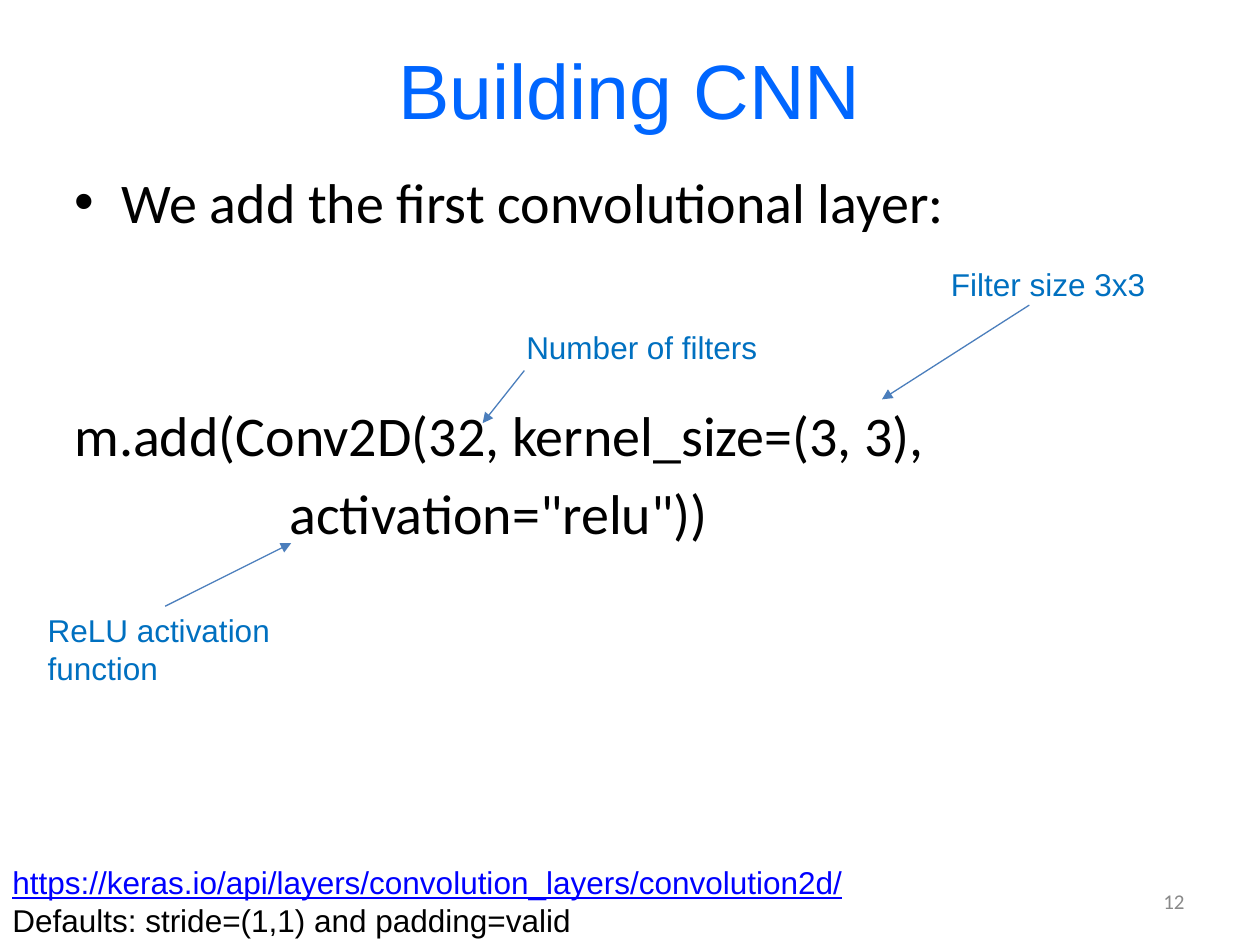
from lxml import etree
from pptx import Presentation
from pptx.dml.color import RGBColor
from pptx.enum.shapes import MSO_CONNECTOR
from pptx.enum.text import MSO_ANCHOR, MSO_AUTO_SIZE, PP_ALIGN
from pptx.oxml.ns import qn
from pptx.util import Cm, Pt

LINE = MSO_CONNECTOR.STRAIGHT
TOP, MIDDLE = MSO_ANCHOR.TOP, MSO_ANCHOR.MIDDLE
GROW = MSO_AUTO_SIZE.SHAPE_TO_FIT_TEXT
LEFT, CENTER, RIGHT = PP_ALIGN.LEFT, PP_ALIGN.CENTER, PP_ALIGN.RIGHT

BLUE, BLACK, GRAY = "0066FF", "000000", "898989"
NOTE, LINK, ARROW = "0070C0", "0000FF", "4B7EBC"


def color(code):
    return RGBColor.from_string(code)


def add_text(slide, box, lines, face, size, tint, align=LEFT, anchor=TOP, wrap=True):
    shape = slide.shapes.add_textbox(*map(Cm, box))
    frame = shape.text_frame
    frame.word_wrap = wrap
    frame.vertical_anchor = anchor
    if not wrap:
        frame.auto_size = GROW
    frame.text = "\n".join(lines)
    for par in frame.paragraphs:
        par.alignment = align
        par.font.name = face
        par.font.size = Pt(size)
        par.font.color.rgb = color(tint)
    return frame.paragraphs


def add_bullet(par, indent):
    props = par._p.get_or_add_pPr()
    props.set("marL", str(Cm(indent)))
    props.set("indent", str(-Cm(indent)))
    font = etree.Element(qn("a:buFont"), typeface="Arial")
    mark = etree.Element(qn("a:buChar"), char="•")
    props.insert(0, font)
    props.insert(1, mark)


def add_title(slide, box):
    add_text(slide, box, ["Building CNN"], "Arial", 44, BLUE, CENTER, MIDDLE)


def add_body(slide, box):
    lines = [
        "We add the first convolutional layer:",
        "m.add(Conv2D(32, kernel_size=(3, 3),",
        '                 activation="relu"))',
    ]
    intro, call, args = add_text(slide, box, lines, "Calibri", 32, BLACK)
    add_bullet(intro, 0.95)
    call.space_before = Pt(95)
    args.space_before = Pt(5.7)


def add_arrow(slide, start, end):
    arrow = slide.shapes.add_connector(LINE, *map(Cm, start + end))
    arrow.line.color.rgb = color(ARROW)
    arrow.line.width = Pt(0.75)
    etree.SubElement(arrow.line._get_or_add_ln(), qn("a:tailEnd"), type="triangle")
    etree.SubElement(arrow._element.spPr, qn("a:effectLst"))


def add_note(slide, box, lines, start, end):
    left, top = box[:2]
    add_text(slide, box, lines, "Arial", 18, NOTE, wrap=False)
    add_arrow(
        slide,
        (left + start[0], top + start[1]),
        (left + end[0], top + end[1]),
    )


def add_source(slide, box):
    lines = [
        "https://keras.io/api/layers/convolution_layers/convolution2d/",
        "Defaults: stride=(1,1) and padding=valid",
    ]
    link = add_text(slide, box, lines, "Arial", 18, BLACK, wrap=False)[0]
    link.font.color.rgb = color(LINK)
    link.font.underline = True


def add_number(slide, box):
    add_text(slide, box, ["12"], "Calibri", 12, GRAY, RIGHT, MIDDLE)


def main():
    deck = Presentation()
    deck.slide_width, deck.slide_height = Cm(25.4), Cm(19.05)
    slide = deck.slides.add_slide(deck.slide_layouts[6])
    add_title(slide, (1.27, 0.2, 22.86, 3.18))
    add_body(slide, (1.25, 3.25, 22.86, 14.4))
    add_number(slide, (18.2, 17.65, 5.93, 1.02))
    notes = [
        ((10.36, 6.48, 5.21, 1.02), ["Number of filters"], (0.21, 0.99), (-0.63, 2.05)),
        ((18.92, 5.21, 4.47, 1.02), ["Filter size 3x3"], (1.83, 0.94), (-1.14, 2.84)),
        ((0.71, 12.19, 5.21, 1.8), ["ReLU activation", "function"], (2.62, 0.03), (5.16, -1.24)),
    ]
    for note in notes:
        add_note(slide, *note)
    add_source(slide, (0, 17.27, 17.4, 1.8))
    deck.save("out.pptx")


if __name__ == "__main__":
    main()
